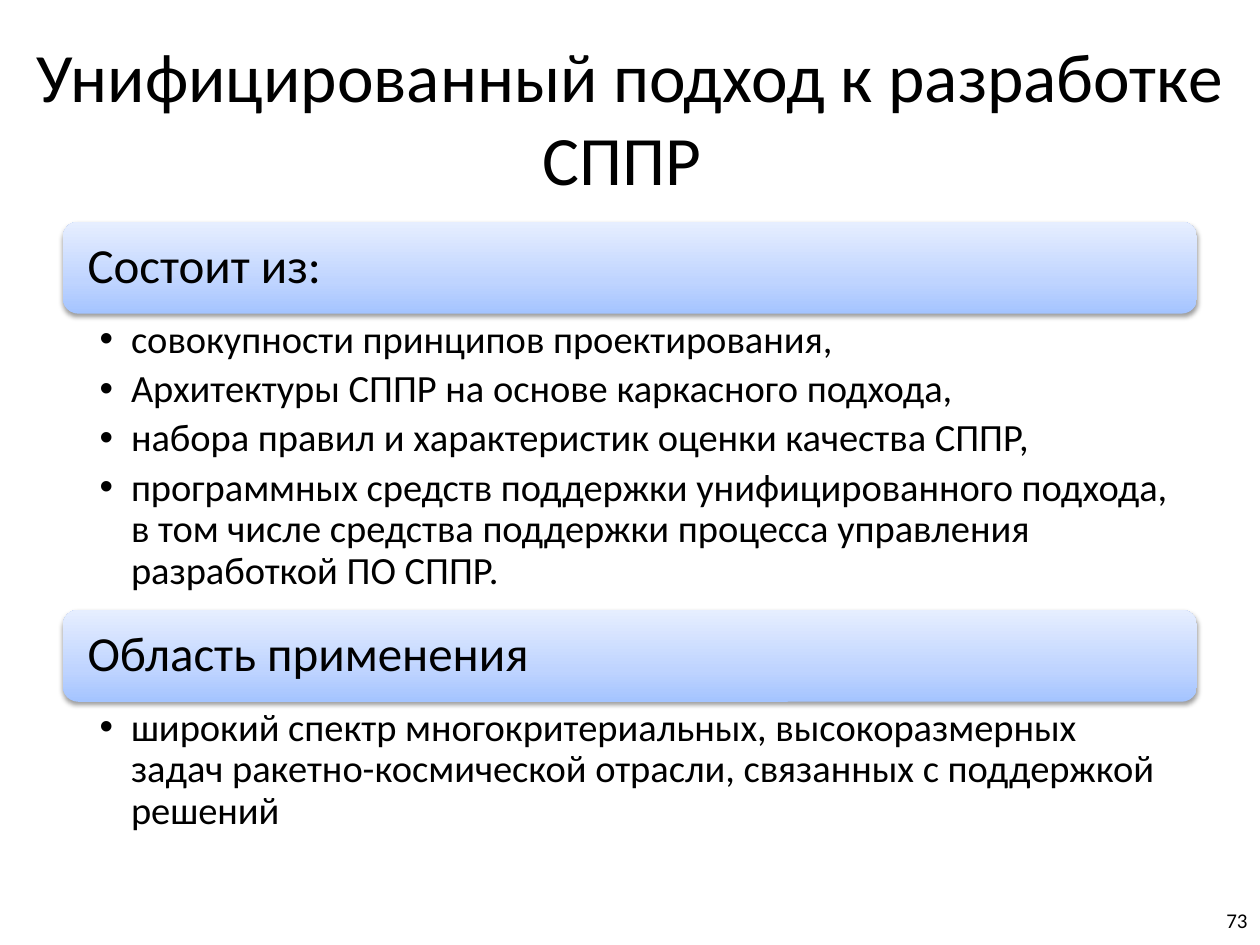
from dataclasses import dataclass

from lxml.etree import SubElement
from pptx import Presentation
from pptx.dml.color import RGBColor
from pptx.enum.shapes import MSO_SHAPE
from pptx.enum.text import MSO_ANCHOR, PP_ALIGN
from pptx.oxml import parse_xml
from pptx.oxml.ns import nsdecls, qn
from pptx.shapes.autoshape import Shape
from pptx.slide import Slide
from pptx.text.text import _Paragraph
from pptx.util import Emu, Pt

PX = 9144  # 100 px to the inch
FONT = "Calibri"
BLACK = "000000"
GRADIENT = [(0, "A4C4FF"), (35, "BFD4FF"), (100, "E6EEFF")]  # bottom to top
SECTION_LEFT, SECTION_WIDTH, HEADER_HEIGHT = 50, 900, 73
LIST_OFFSET = 74


@dataclass
class Section:
    top: int
    heading: str
    points: list[str]
    list_height: int


SECTIONS = [
    Section(176, "Состоит из:", [
        "совокупности принципов проектирования,",
        "Архитектуры СППР на основе каркасного подхода,",
        "набора правил и характеристик оценки качества СППР,",
        "программных средств поддержки унифицированного подхода, в том числе "
        "средства поддержки процесса управления разработкой ПО СППР.",
    ], 235),
    Section(484, "Область применения", [
        "широкий спектр многокритериальных, высокоразмерных задач "
        "ракетно-космической отрасли, связанных с поддержкой решений",
    ], 111),
]


def px(length: int) -> Emu:
    return Emu(length * PX)


def color(hex_value: str) -> RGBColor:
    return RGBColor.from_string(hex_value)


def style(paragraph: _Paragraph, size: float, align: PP_ALIGN = PP_ALIGN.LEFT) -> None:
    paragraph.alignment = align
    for run in paragraph.runs:
        run.font.name = FONT
        run.font.size = Pt(size)
        run.font.color.rgb = color(BLACK)


def set_frame(shape: Shape, anchor: MSO_ANCHOR, left: int = 10, top: int = 5,
              right: int = 10, bottom: int = 5) -> None:
    frame = shape.text_frame
    frame.word_wrap = True
    frame.vertical_anchor = anchor
    frame.margin_left, frame.margin_right = px(left), px(right)
    frame.margin_top, frame.margin_bottom = px(top), px(bottom)


def add_label(slide: Slide, left: int, top: int, width: int, height: int,
              text: str, size: float, align: PP_ALIGN) -> None:
    label = slide.shapes.add_textbox(px(left), px(top), px(width), px(height))
    set_frame(label, MSO_ANCHOR.MIDDLE)
    label.text_frame.text = text
    style(label.text_frame.paragraphs[0], size, align)


def add_gradient_and_shadow(shape: Shape) -> None:
    stops = "".join(
        f'<a:gs pos="{position * 1000}"><a:srgbClr val="{value}"/></a:gs>'
        for position, value in GRADIENT)
    gradient = parse_xml(
        f'<a:gradFill {nsdecls("a")} rotWithShape="1"><a:gsLst>{stops}</a:gsLst>'
        '<a:lin ang="16200000" scaled="0"/></a:gradFill>')
    shadow = parse_xml(
        f'<a:effectLst {nsdecls("a")}>'
        f'<a:outerShdw blurRad="{Pt(3.1)}" dist="{Pt(1.6)}" dir="5400000" rotWithShape="0">'
        f'<a:srgbClr val="{BLACK}"><a:alpha val="38000"/></a:srgbClr>'
        '</a:outerShdw></a:effectLst>')
    properties = shape._element.spPr
    properties.find(qn("a:prstGeom")).addnext(gradient)
    properties.append(shadow)


def add_header(slide: Slide, section: Section) -> None:
    header = slide.shapes.add_shape(
        MSO_SHAPE.ROUNDED_RECTANGLE, px(SECTION_LEFT), px(section.top),
        px(SECTION_WIDTH), px(HEADER_HEIGHT))
    header.line.fill.background()
    add_gradient_and_shadow(header)
    set_frame(header, MSO_ANCHOR.MIDDLE, left=16, top=12, right=16, bottom=12)
    header.text_frame.text = section.heading
    heading = header.text_frame.paragraphs[0]
    heading.line_spacing = 0.9
    style(heading, 28)


def add_bullet(paragraph: _Paragraph) -> None:
    properties = paragraph._p.get_or_add_pPr()
    properties.set("marL", str(px(25)))
    properties.set("indent", str(px(-25)))
    SubElement(properties, qn("a:buFont")).set("typeface", "Arial")
    SubElement(properties, qn("a:buChar")).set("char", "•")


def add_points(slide: Slide, section: Section) -> None:
    points = slide.shapes.add_textbox(
        px(SECTION_LEFT), px(section.top + LIST_OFFSET),
        px(SECTION_WIDTH), px(section.list_height))
    set_frame(points, MSO_ANCHOR.TOP, left=29, top=4, right=22, bottom=4)
    points.text_frame.text = "\n".join(section.points)
    for point in points.text_frame.paragraphs:
        add_bullet(point)
        point.level = 1
        point.line_spacing = 0.9
        point.space_after = Pt(4.4)
        style(point, 22)


def main() -> None:
    presentation = Presentation()
    presentation.slide_width, presentation.slide_height = px(1000), px(750)
    slide = presentation.slides.add_slide(presentation.slide_layouts[6])

    # Title
    add_label(slide, 0, 30, 1000, 125, "Унифицированный подход к разработке СППР ",
              39.6, PP_ALIGN.CENTER)

    # Sections: heading bar with its list of points
    for section in SECTIONS:
        add_header(slide, section)
        add_points(slide, section)

    # Slide number
    add_label(slide, 767, 710, 233, 40, "73", 12, PP_ALIGN.RIGHT)

    presentation.save("out.pptx")


if __name__ == "__main__":
    main()
